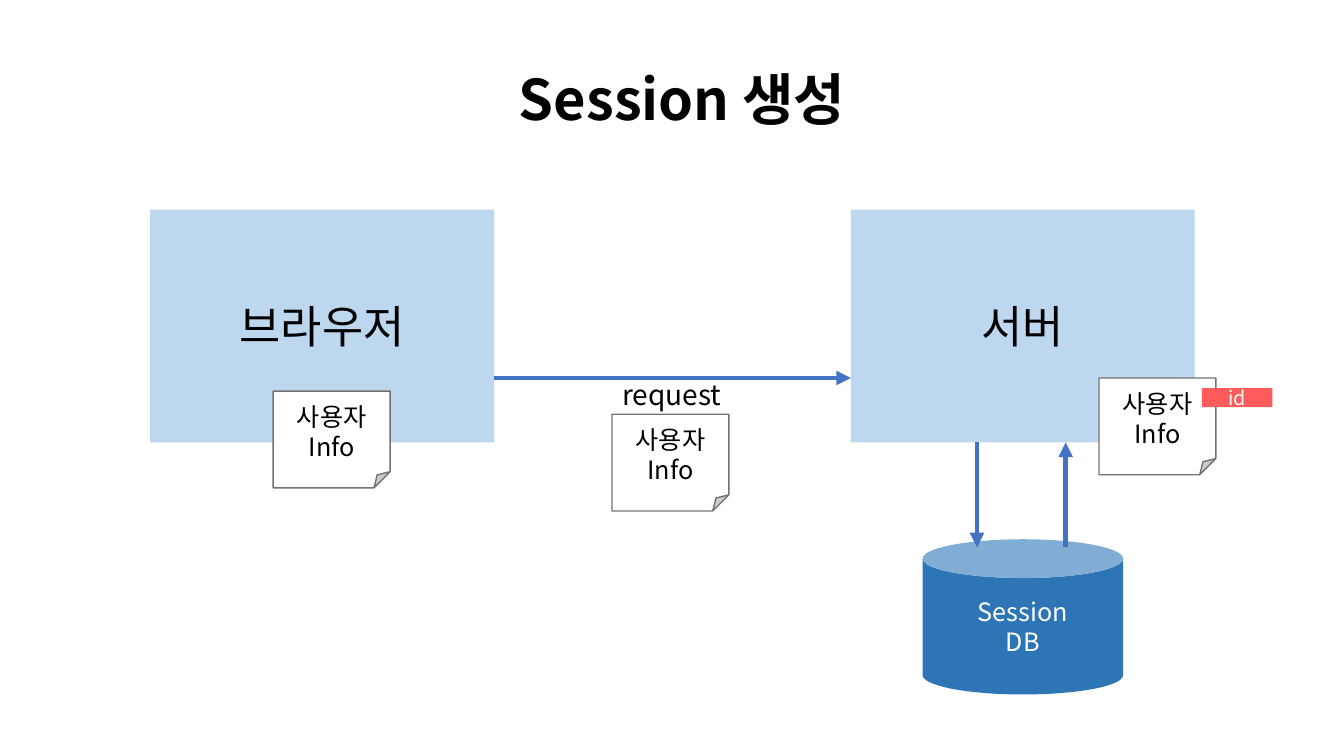
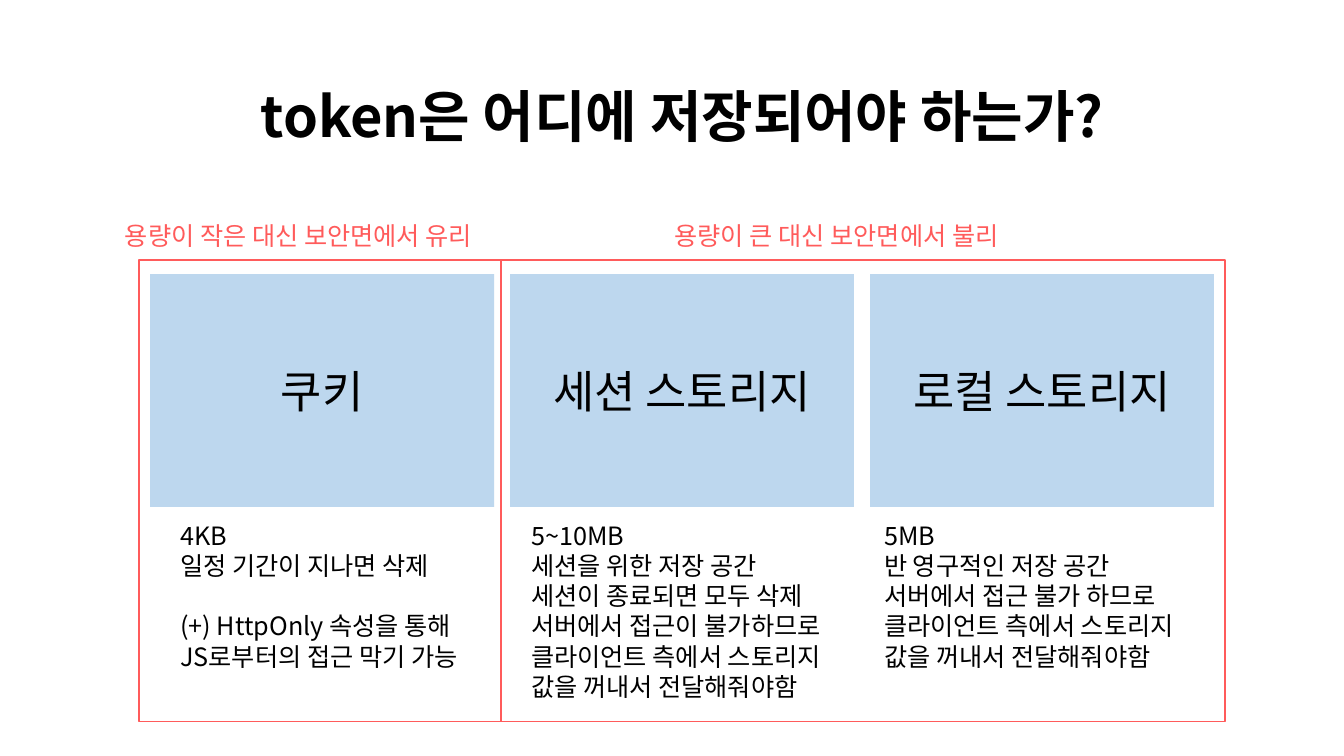
import pptx
import pptx.util
import pptx.dml.color
import pptx.enum.shapes
import pptx.enum.text
import pptx.oxml
import pptx.oxml.ns

Inches, Pt = pptx.util.Inches, pptx.util.Pt
SHAPE = pptx.enum.shapes.MSO_SHAPE
ALIGN = pptx.enum.text.PP_ALIGN
ANCHOR = pptx.enum.text.MSO_ANCHOR

FONT = "Noto Sans CJK KR"
BLACK, WHITE = "000000", "FFFFFF"
PALE, BLUE, ARROW, RED, GRAY = "BDD7EE", "2E75B6", "4472C4", "FF5B5B", "767171"

LEFT, CONTENT_W = 1.49, 10.55
BLOCK_W, BLOCK_H = 3.41, 2.31
LINE_GAP = 21.6

SESSION_TITLE = "Session 생성"
BLOCK_TOP = 2.08
BLOCK_BOTTOM = BLOCK_TOP + BLOCK_H
SERVER_LEFT = 8.44
ACTORS = [("브라우저", LEFT), ("서버", SERVER_LEFT)]
REQUEST_Y = 3.75
DB_ARROW_END = 5.43
ARROWS = [
    (LEFT + BLOCK_W, REQUEST_Y, SERVER_LEFT, REQUEST_Y),
    (9.69, BLOCK_BOTTOM, 9.69, DB_ARROW_END),
    (10.57, DB_ARROW_END, 10.57, BLOCK_BOTTOM),
]
NOTE_TEXT = ["사용자", "Info"]
NOTES = [(2.71, 3.88), (6.07, 4.11), (10.9, 3.75)]

TOKEN_TITLE = "token은 어디에 저장되어야 하는가?"
STORE_TOP, STORE_PITCH = 2.72, 3.57
STORES = [
    ("쿠키", 1.69, [
        "4KB", "일정 기간이 지나면 삭제",
        "(+) HttpOnly 속성을 통해", "JS로부터의 접근 막기 가능"]),
    ("세션 스토리지", 5.17, [
        "5~10MB", "세션을 위한 저장 공간", "세션이 종료되면 모두 삭제",
        "서버에서 접근이 불가하므로", "클라이언트 측에서 스토리지",
        "값을 꺼내서 전달해줘야함"]),
    ("로컬 스토리지", 8.67, [
        "5MB", "반 영구적인 저장 공간", "서버에서 접근 불가 하므로",
        "클라이언트 측에서 스토리지", "값을 꺼내서 전달해줘야함"]),
]
FRAME_LEFT, FRAME_TOP, FRAME_COL, FRAME_H = 1.38, 2.58, 3.59, 4.58
FRAMES = [
    ("용량이 작은 대신 보안면에서 유리", 1.14, 0, 1),
    ("용량이 큰 대신 보안면에서 불리", 6.59, 1, 2),
]


def rgb(value):
    return pptx.dml.color.RGBColor.from_string(value)


def write(s, lines, size, color=BLACK, align=ALIGN.CENTER, anchor=ANCHOR.MIDDLE,
          bold=False, spacing=None, tight=False):
    tf = s.text_frame
    tf.word_wrap = True
    tf.vertical_anchor = anchor
    if tight:
        tf.margin_top = tf.margin_bottom = 0
    tf.text = "\n".join(lines)
    for p in tf.paragraphs:
        p.alignment = align
        if spacing:
            p.line_spacing = spacing
        for r in p.runs:
            r.font.size, r.font.bold, r.font.name = Pt(size), bold, FONT
            r.font.color.rgb = rgb(color)
            ea = pptx.oxml.parse_xml(
                f'<a:ea {pptx.oxml.ns.nsdecls("a")} typeface="{FONT}"/>')
            r.font._element.find(pptx.oxml.ns.qn("a:latin")).addnext(ea)
    return tf


def add_shape(slide, kind, x, y, w, h, fill=None, line=None):
    s = slide.shapes.add_shape(kind, Inches(x), Inches(y), Inches(w), Inches(h))
    s.shadow.inherit = False
    if fill:
        s.fill.solid()
        s.fill.fore_color.rgb = rgb(fill)
    else:
        s.fill.background()
    if line:
        s.line.color.rgb = rgb(line)
        s.line.width = Pt(1)
    else:
        s.line.fill.background()
    return s


def add_text(slide, x, y, w, h, lines, size, **style):
    s = slide.shapes.add_textbox(Inches(x), Inches(y), Inches(w), Inches(h))
    return write(s, lines, size, **style)


def add_title(slide, text, y):
    add_text(slide, LEFT, y, CONTENT_W, 1, [text], 40, bold=True, spacing=0.9)


def add_block(slide, text, x, y):
    write(add_shape(slide, SHAPE.RECTANGLE, x, y, BLOCK_W, BLOCK_H, PALE), [text], 32)


def add_arrow(slide, *ends):
    s = slide.shapes.add_connector(
        pptx.enum.shapes.MSO_CONNECTOR.STRAIGHT, *map(Inches, ends))
    s.line.color.rgb = rgb(ARROW)
    s.line.width = Pt(3.5)
    ns = pptx.oxml.ns.nsdecls("a")
    s.line._get_or_add_ln().append(
        pptx.oxml.parse_xml(f'<a:tailEnd {ns} type="triangle"/>'))
    s._element.spPr.append(pptx.oxml.parse_xml(f"<a:effectLst {ns}/>"))


def build_session(slide):
    add_title(slide, SESSION_TITLE, 0.52)
    for name, x in ACTORS:
        add_block(slide, name, x, BLOCK_TOP)
    add_text(slide, 5.08, 3.8, 3.17, 0.27, ["request"], 20, spacing=0.9, tight=True)
    db = add_shape(slide, SHAPE.CAN, 9.15, 5.35, 1.99, 1.54, BLUE)
    write(db, ["Session", "DB"], 18, WHITE)
    for ends in ARROWS:
        add_arrow(slide, *ends)
    for x, y in NOTES:
        note = add_shape(slide, SHAPE.FOLDED_CORNER, x, y, 1.16, 0.96, WHITE, GRAY)
        write(note, NOTE_TEXT, 18)
    tag = add_shape(slide, SHAPE.RECTANGLE, 11.92, 3.85, 0.7, 0.19, RED)
    write(tag, ["id"], 14, WHITE, tight=True)


def build_token(slide):
    add_title(slide, TOKEN_TITLE, 0.68)
    for i, (name, x, facts) in enumerate(STORES):
        add_block(slide, name, LEFT + i * STORE_PITCH, STORE_TOP)
        tf = add_text(slide, x, 5.11, 3.5, 1.92, facts, 18,
                      align=ALIGN.LEFT, anchor=ANCHOR.TOP)
        for p in tf.paragraphs:
            if p.text.startswith("(+)"):
                p.space_before = Pt(LINE_GAP)
    for label, x, col, span in FRAMES:
        add_shape(slide, SHAPE.RECTANGLE, FRAME_LEFT + col * FRAME_COL, FRAME_TOP,
                  span * FRAME_COL, FRAME_H, line=RED)
        add_text(slide, x, 2.14, 4.09, 0.4, [label], 18, color=RED,
                 align=ALIGN.LEFT, anchor=ANCHOR.TOP)


def main():
    prs = pptx.Presentation()
    prs.slide_width, prs.slide_height = Inches(13.33), Inches(7.5)
    for build in (build_session, build_token):
        build(prs.slides.add_slide(prs.slide_layouts[6]))
    prs.save("out.pptx")


if __name__ == "__main__":
    main()
